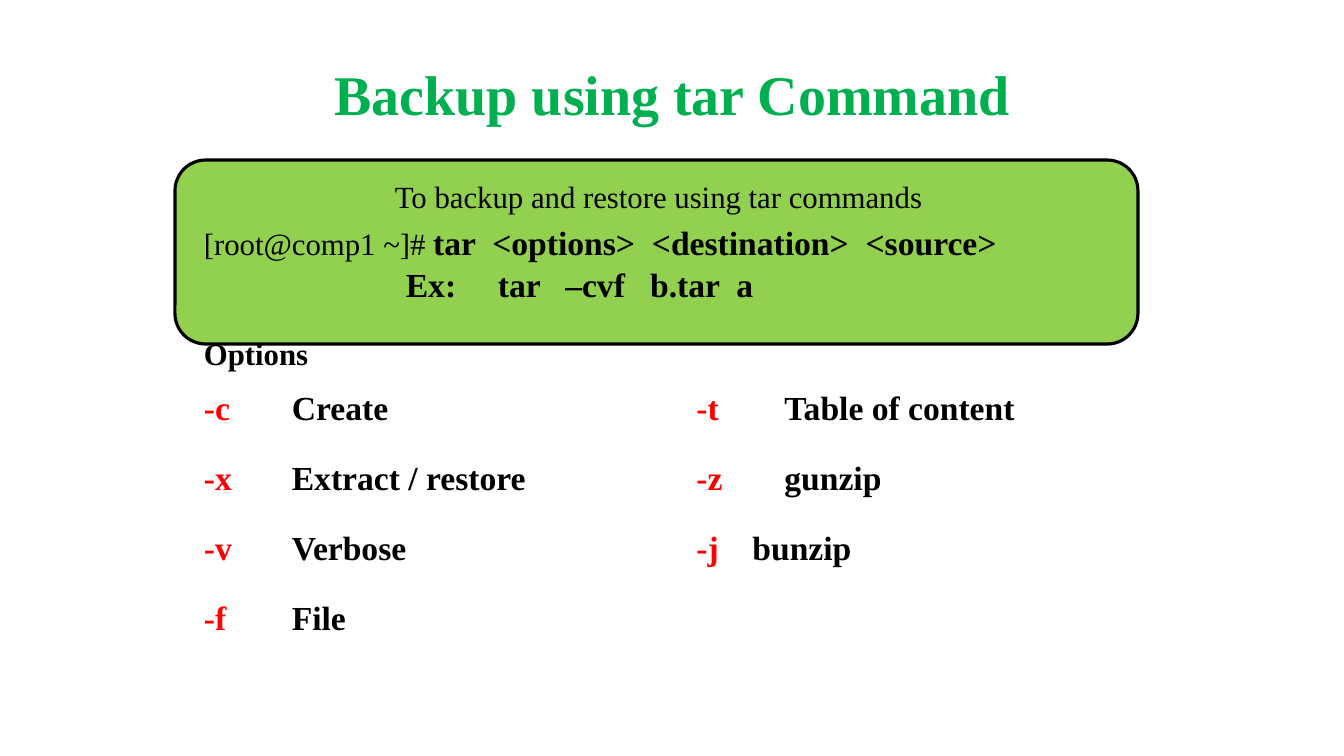
from pptx import Presentation
from pptx.dml.color import RGBColor
from pptx.enum.shapes import MSO_SHAPE
from pptx.enum.text import MSO_ANCHOR, PP_ALIGN
from pptx.util import Emu, Pt

ROUND, RECT = MSO_SHAPE.ROUNDED_RECTANGLE, MSO_SHAPE.RECTANGLE
TOP, MID = MSO_ANCHOR.TOP, MSO_ANCHOR.MIDDLE
LEFT, CENTER, JUST = PP_ALIGN.LEFT, PP_ALIGN.CENTER, PP_ALIGN.JUSTIFY
THEME = {
    "font": "Times New Roman",
    "green": "00B050", "lime": "92D050", "red": "FF0000", "black": "000000",
    "title": 40, "body": 24, "small": 22,
}


def px(n):
    return Emu(round(n * 914400 / 100.8))


def write(shape, runs, align=LEFT, anchor=TOP, hang=0, start=0, line=None, before=0):
    """Add one paragraph of (text, size, colour, bold) runs; first line at start, the rest at hang."""
    frame = shape.text_frame
    frame.word_wrap = True
    frame.vertical_anchor = anchor
    fresh = not frame.paragraphs[0].runs
    para = frame.paragraphs[0] if fresh else frame.add_paragraph()
    para.alignment = align
    if hang:
        props = para._p.get_or_add_pPr()
        props.set("marL", str(px(hang)))
        props.set("indent", str(px(start - hang)))
    if line:
        para.line_spacing = line
    if before and not fresh:
        para.space_before = Pt(before)
    for text, size, color, bold in runs:
        run = para.add_run()
        run.text = text
        font = run.font
        font.name, font.size, font.bold = THEME["font"], Pt(THEME[size]), bold
        font.color.rgb = RGBColor.from_string(THEME[color])


deck = Presentation()
deck.slide_width, deck.slide_height = px(1344), px(756)
slide = deck.slides.add_slide(deck.slide_layouts[6])
shapes = slide.shapes

title = shapes.add_textbox(px(67), px(30), px(1210), px(126))
write(title, [("Backup using tar Command", "title", "green", True)], align=CENTER, anchor=MID)

# Command panel
group = shapes.add_group_shape()
parts = []
for kind, x, y, w, h in [
    (ROUND, 175, 160, 963, 184),
    (RECT, 197, 173, 923, 57),
    (RECT, 194, 215, 923, 95),
]:
    part = group.shapes.add_shape(kind, px(x), px(y), px(w), px(h))
    part.shadow.inherit = False
    part.fill.solid()
    part.fill.fore_color.rgb = RGBColor.from_string(THEME["lime"])
    part.line.fill.background()
    parts.append(part)
panel, intro, usage = parts
panel.line.color.rgb = RGBColor.from_string(THEME["black"])
panel.line.width = Pt(2.25)

write(intro, [("To backup and restore using tar commands", "small", "black", False)], align=CENTER)
write(usage, [
    ("[root@comp1 ~]# ", "small", "black", False),
    ("tar  <options>  <destination>  <source>", "body", "black", True),
], line=Pt(30))
write(usage, [("Ex:\ttar   –cvf   b.tar  a", "body", "black", True)],
      hang=294, start=202, line=Pt(30))

# Options in two columns
flags = shapes.add_textbox(px(194), px(362), px(950), px(326))
cols = flags.text_frame._txBody.bodyPr
cols.set("numCol", "2")
cols.set("spcCol", str(px(55)))
for flag, label, hang in [
    ("-c", "Create", 88),
    ("-x", "Extract / restore", 88),
    ("-v", "Verbose", 88),
    ("-f", "File", 88),
    ("-t", "Table of content", 88),
    ("-z", "gunzip", 88),
    ("-j", "bunzip", 56),
]:
    write(flags, [(flag + "\t", "body", "red", True), (label, "body", "black", True)],
          align=JUST, hang=hang, line=1.5, before=6.7)

head = shapes.add_textbox(px(194), px(330), px(157), px(47))
write(head, [("Options", "small", "black", True)])

deck.save("out.pptx")
